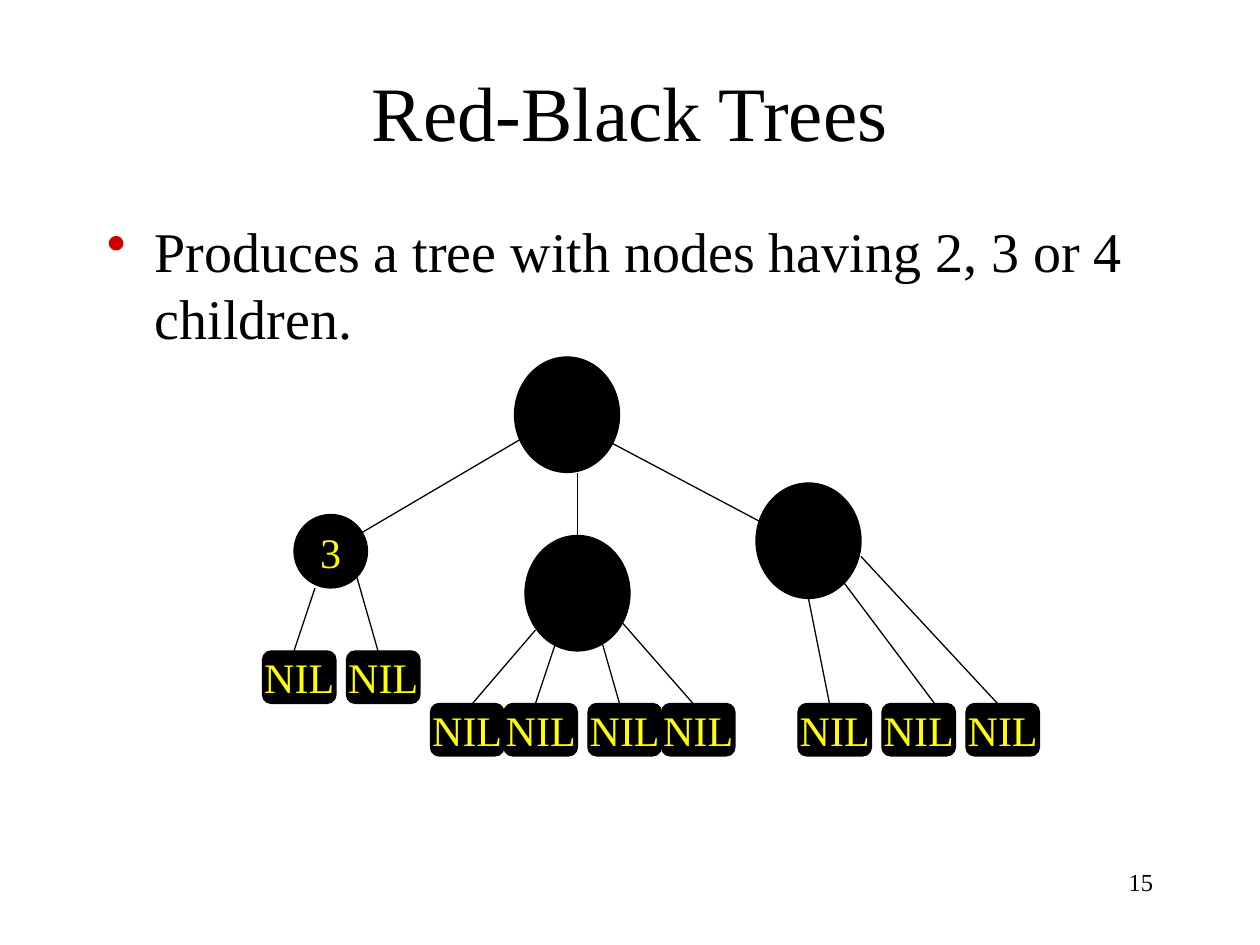
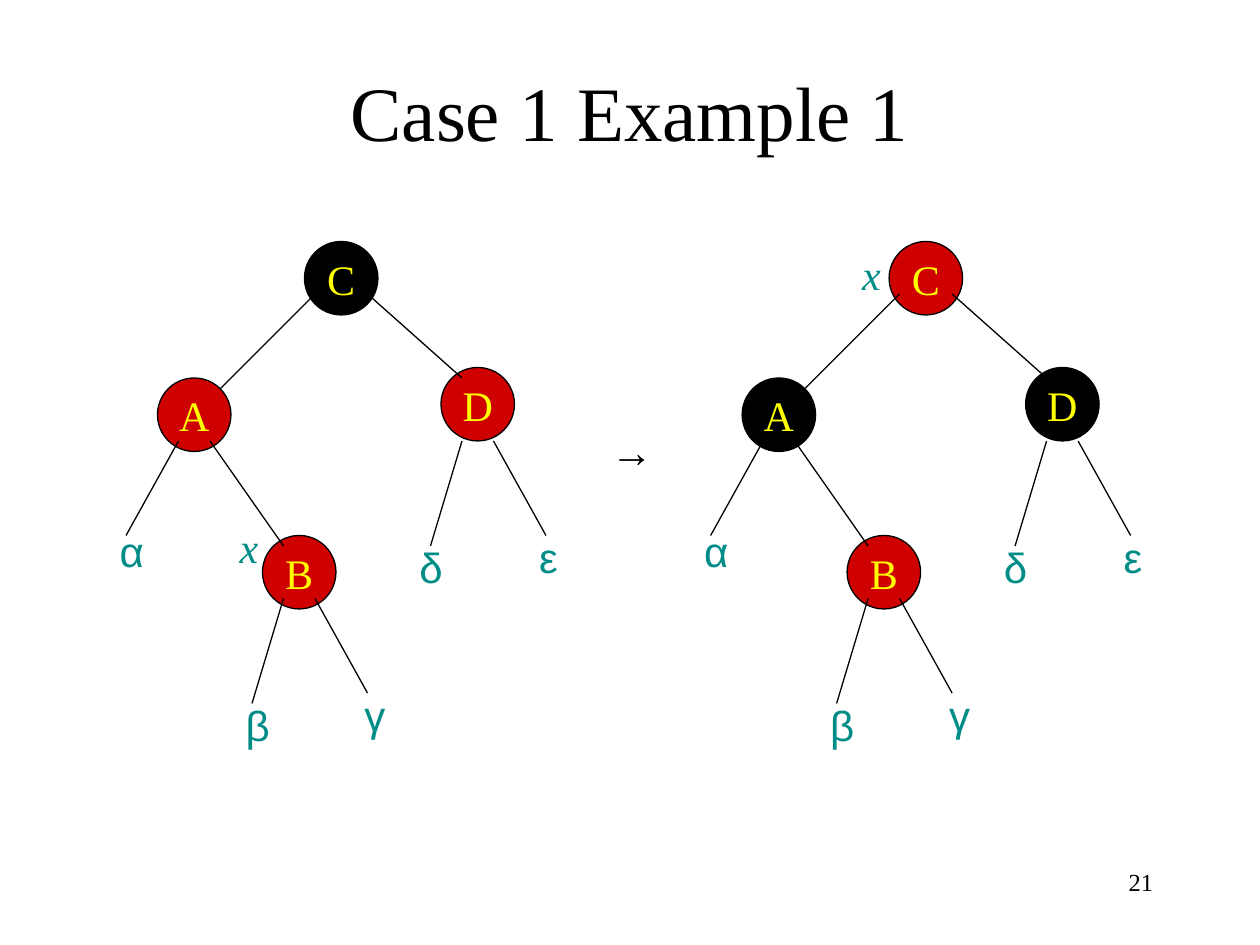
from lxml import etree
from pptx import Presentation
from pptx.dml.color import RGBColor
from pptx.enum.shapes import MSO_CONNECTOR, MSO_SHAPE as Shape
from pptx.enum.text import MSO_ANCHOR as Anchor, MSO_AUTO_SIZE as AutoSize, PP_ALIGN as Align
from pptx.oxml.ns import qn
from pptx.util import Inches, Pt

BLACK = RGBColor(0x00, 0x00, 0x00)
RED = RGBColor(0xCE, 0x00, 0x00)
YELLOW = RGBColor(0xFF, 0xFF, 0x00)
TEAL = RGBColor(0x00, 0x8C, 0x87)
SERIF, SANS = "Times New Roman", "Arial"
STEPS = 12  # nodes and edges sit on a grid of twelfths of an inch

# Content of the 2-3-4 tree
BULLET = "Produces a tree with nodes having 2, 3 or 4 children."
MERGED_NODES = [(4.08, 2.83), (4.17, 4.25), (6, 3.83)]
MERGED_SIZE = (0.83, 0.92)
NIL_SIZE = (0.58, 0.42)
NIL_ROWS = [  # top, lefts
    (5.17, [2.08, 2.75]),
    (5.58, [3.42, 4, 4.67, 5.25, 6.33, 7, 7.67]),
]
MERGED_EDGES = [
    (4.25, 3.42, 2.83, 4.25), (4.67, 3.42, 6.08, 4.17), (4.58, 3.75, 4.58, 4.25),
    (2.5, 4.67, 2.33, 5.17), (2.83, 4.58, 3, 5.17),
    (4.25, 5, 3.75, 5.58), (4.42, 5.08, 4.25, 5.58),
    (4.75, 5, 4.92, 5.58), (4.92, 4.92, 5.5, 5.58),
    (6.42, 4.75, 6.58, 5.58), (6.67, 4.58, 7.42, 5.58), (6.83, 4.42, 7.92, 5.58),
]

# Content of the recolouring example: both trees share one layout
CIRCLE = (0.58, 0.58)
CASE_NODES = {"A": (1.25, 3), "C": (2.42, 1.92), "B": (2.08, 4.25), "D": (3.5, 2.92)}
CASE_EDGES = [
    (2.5, 2.33, 1.75, 3.08), (2.92, 2.33, 3.67, 3),
    (1.42, 3.5, 1, 4.25), (1.67, 3.5, 2.25, 4.33),
    (3.92, 3.5, 4.33, 4.25), (3.67, 3.5, 3.42, 4.33),
    (2.5, 4.75, 2.92, 5.5), (2.25, 4.75, 2, 5.58),
]
SUBTREES = [  # name, left, top, width
    ("α", 0.84, 4.12, 0.41), ("β", 1.85, 5.5, 0.38), ("γ", 2.78, 5.42, 0.39),
    ("δ", 3.23, 4.25, 0.36), ("ε", 4.18, 4.17, 0.34),
]
CASE_TREES = [  # shift to the right, black nodes, place of x
    (0, "C", (1.8, 4.09)),
    (4.64, "AD", (6.74, 1.92)),
]


def snap(value):
    return Inches(round(value * STEPS) / STEPS)


def write(shape, text, size, color, font=SERIF, align=Align.CENTER, wrap=True):
    frame = shape.text_frame
    frame.text = text
    frame.word_wrap = wrap
    para = frame.paragraphs[0]
    para.alignment = align
    span = para.runs[0]
    span.font.size, span.font.name = Pt(size), font
    span.font.color.rgb = color


def add_text(page, text, place, size, color=BLACK, **style):
    box = page.shapes.add_textbox(*map(Inches, place))
    write(box, text, size, color, **style)
    return box


def add_label(page, text, left, top, width, color=TEAL, font=SANS):
    box = add_text(page, text, (left, top, width, 0.5), 24, color, font=font, wrap=False)
    box.text_frame.auto_size = AutoSize.SHAPE_TO_FIT_TEXT
    return box


def add_node(page, kind, place, size, text="", fill=BLACK, shift=0):
    left, top, width, height = map(snap, place + size)
    node = page.shapes.add_shape(kind, left + Inches(shift), top, width, height)
    node.shadow.inherit = False
    node.fill.solid()
    node.fill.fore_color.rgb = fill
    node.line.color.rgb = BLACK
    node.line.width = Pt(0.75)
    if text:
        write(node, text, 24, YELLOW, wrap=False)
        node.text_frame.vertical_anchor = Anchor.MIDDLE


def add_edges(page, edges, shift=0):
    offset = Inches(shift)
    for ends in edges:
        x1, y1, x2, y2 = map(snap, ends)
        edge = page.shapes.add_connector(
            MSO_CONNECTOR.STRAIGHT, x1 + offset, y1, x2 + offset, y2)
        edge.line.color.rgb = BLACK
        edge.line.width = Pt(0.75)
        etree.SubElement(edge._element.spPr, qn("a:effectLst"))


def add_page(deck, title, number):
    page = deck.slides.add_slide(deck.slide_layouts[6])
    heading = add_text(page, title, (0.75, 0.25, 8.5, 1.25), 44)
    heading.text_frame.vertical_anchor = Anchor.MIDDLE
    add_text(page, str(number), (7.17, 6.83, 2.08, 0.5), 14, align=Align.RIGHT)
    return page


def add_bullet(page, text):
    box = add_text(page, text, (0.75, 1.67, 8.5, 5), 32, align=Align.LEFT)
    props = box.text_frame.paragraphs[0]._p.get_or_add_pPr()
    props.set("marL", str(Inches(0.38)))
    props.set("indent", str(-Inches(0.38)))
    color = etree.SubElement(props, qn("a:buClr"))
    etree.SubElement(color, qn("a:srgbClr"), val=str(RED))
    etree.SubElement(props, qn("a:buChar"), char="•")


def build_merged_tree(deck):
    page = add_page(deck, "Red-Black Trees", 15)
    add_bullet(page, BULLET)
    add_node(page, Shape.OVAL, (2.33, 4.08), CIRCLE, "3")
    for place in MERGED_NODES:
        add_node(page, Shape.OVAL, place, MERGED_SIZE)
    for top, lefts in NIL_ROWS:
        for left in lefts:
            add_node(page, Shape.FLOWCHART_ALTERNATE_PROCESS, (left, top), NIL_SIZE, "NIL")
    add_edges(page, MERGED_EDGES)


def build_case(deck):
    page = add_page(deck, "Case 1 Example 1", 21)
    for shift, black_nodes, x_place in CASE_TREES:
        for name, place in CASE_NODES.items():
            fill = BLACK if name in black_nodes else RED
            add_node(page, Shape.OVAL, place, CIRCLE, name, fill, shift)
        add_edges(page, CASE_EDGES, shift)
        for name, left, top, width in SUBTREES:
            add_label(page, name, left + shift, top, width)
        pointer = add_label(page, "x", *x_place, 0.35, font=SERIF)
        pointer.text_frame.paragraphs[0].runs[0].font.italic = True
    add_label(page, "→", 4.75, 3.33, 0.47, color=BLACK)


def main():
    deck = Presentation()
    deck.slide_width, deck.slide_height = Inches(10), Inches(7.5)
    build_merged_tree(deck)
    build_case(deck)
    deck.save("out.pptx")


if __name__ == "__main__":
    main()
